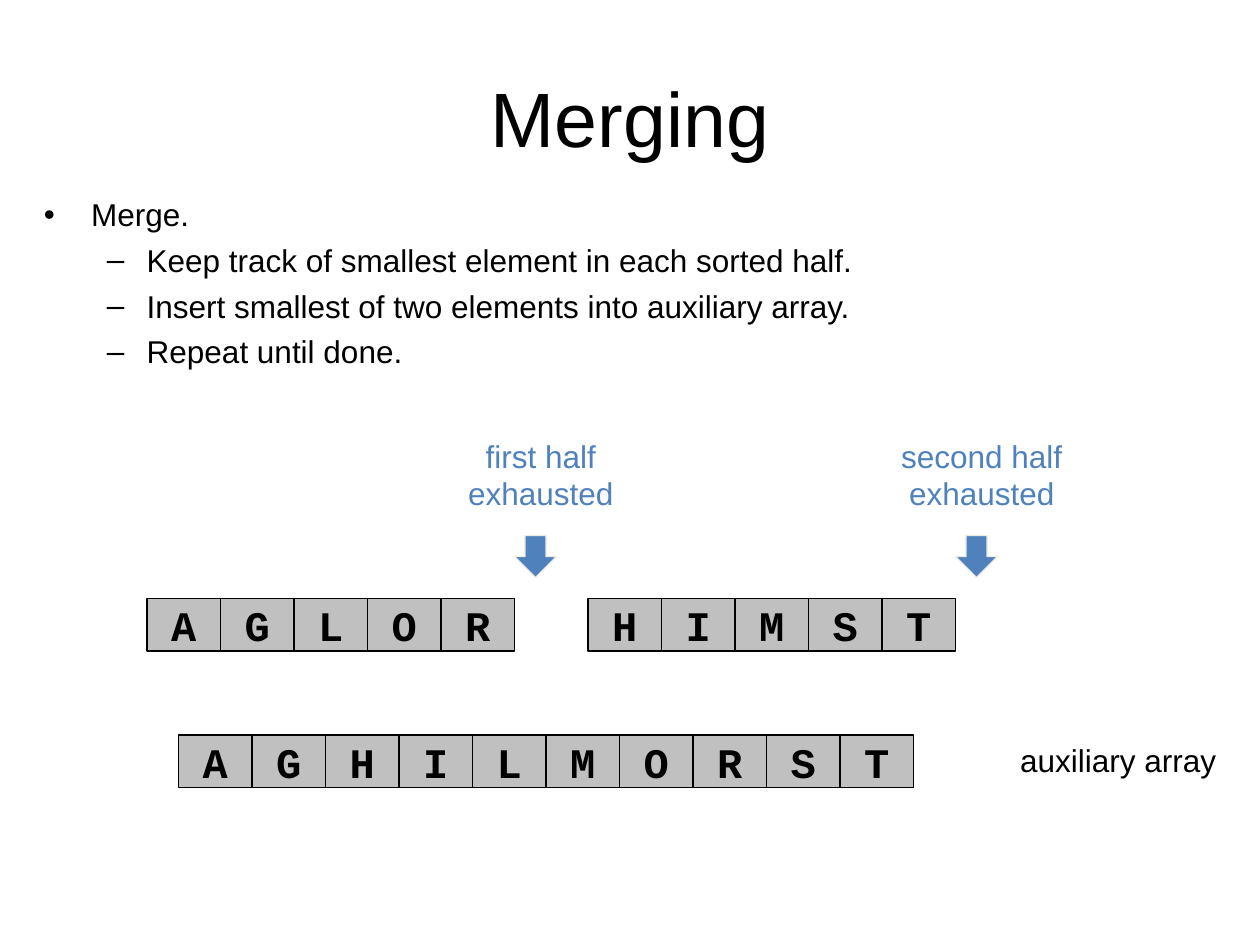
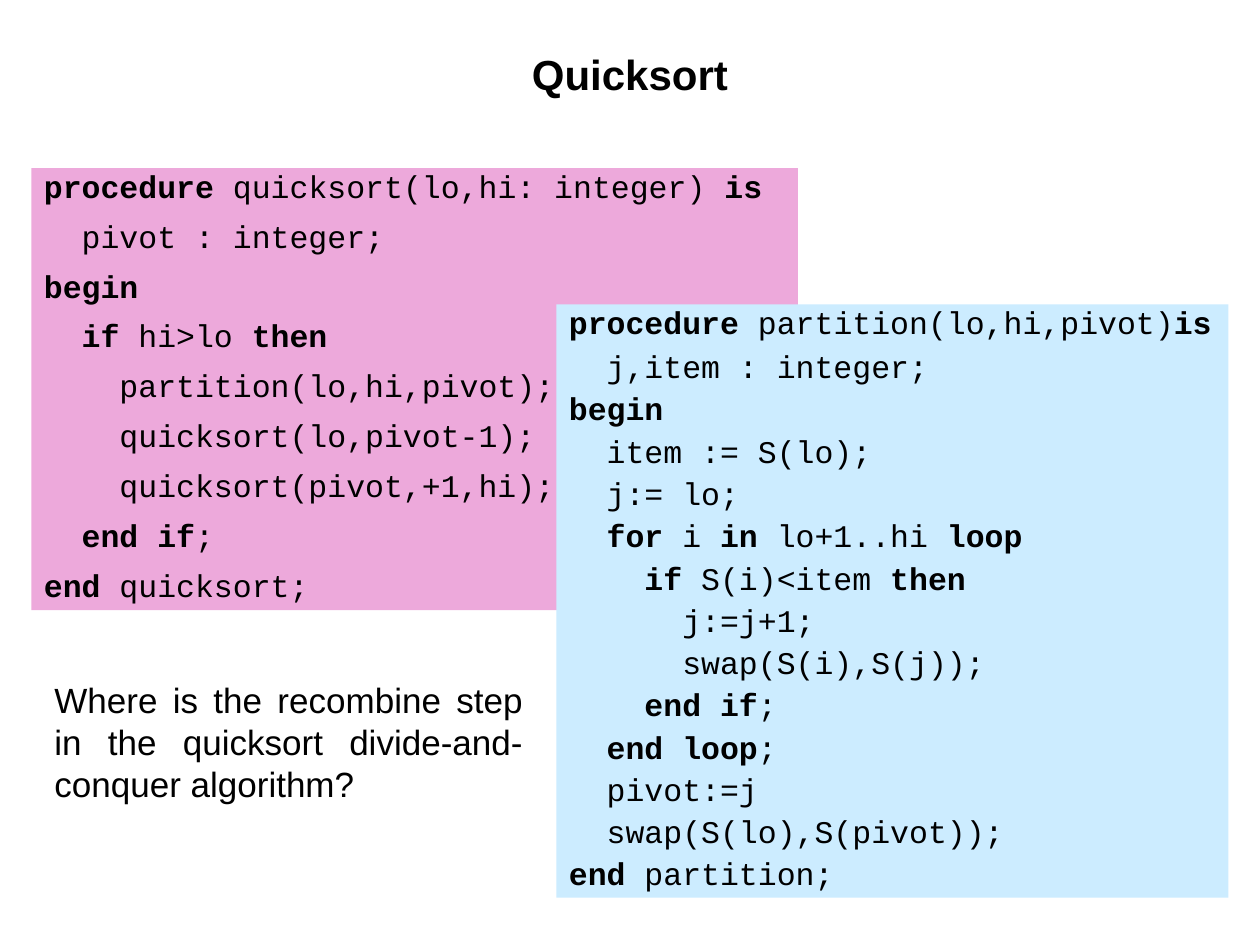
from dataclasses import dataclass

from lxml import etree
from pptx import Presentation
from pptx.dml.color import RGBColor
from pptx.enum.shapes import MSO_SHAPE
from pptx.enum.text import MSO_ANCHOR, PP_ALIGN
from pptx.oxml.ns import qn
from pptx.util import Pt

RECTANGLE = MSO_SHAPE.RECTANGLE
DOWN_ARROW = MSO_SHAPE.DOWN_ARROW
MIDDLE = MSO_ANCHOR.MIDDLE
LEFT, CENTER, JUSTIFY = PP_ALIGN.LEFT, PP_ALIGN.CENTER, PP_ALIGN.JUSTIFY

EMU_PER_PX = 7620
BLANK_LAYOUT = 6
CELL_WIDTH, CELL_HEIGHT = 70, 50
ARROW_SIZE = 40
BULLET_LEVELS = [("•", 45, 45), ("–", 98, 38)]


@dataclass(frozen=True)
class Theme:
    text: str = "000000"
    accent: str = "4F81BD"
    arrow_line: str = "EEECE1"
    cell: str = "C0C0C0"
    quicksort: str = "EDA9DB"
    partition: str = "CCECFF"
    sans: str = "Arial"
    mono: str = "Courier New"
    title_size: int = 44
    heading_size: int = 24
    cell_size: int = 24
    question_size: int = 20
    body_size: int = 18
    line_width: float = 0.75
    bullet_gap: float = 4.5
    code_gap: float = 11.2


THEME = Theme()

MERGE_STEPS = [
    (0, "Merge."),
    (1, "Keep track of smallest element in each sorted half."),
    (1, "Insert smallest of two elements into auxiliary array."),
    (1, "Repeat until done."),
]

QUICKSORT_CODE = """\
*procedure* quicksort(lo,hi: integer) *is*
  pivot : integer;
*begin*
  *if* hi>lo *then*
    partition(lo,hi,pivot);
    quicksort(lo,pivot-1);
    quicksort(pivot,+1,hi);
  *end if*;
*end* quicksort;"""

PARTITION_CODE = """\
*procedure* partition(lo,hi,pivot)*is*
  j,item : integer;
*begin*
  item := S(lo);
  j:= lo;
  *for* i *in* lo+1..hi *loop*
    *if* S(i)<item *then*
      j:=j+1;
      swap(S(i),S(j));
    *end if*;
  *end loop*;
  pivot:=j
  swap(S(lo),S(pivot));
*end* partition;"""


def px(*lengths):
    return [length * EMU_PER_PX for length in lengths]


def style_font(font, size, name=THEME.sans, color=THEME.text, bold=False):
    font.size = Pt(size)
    font.name = name
    font.bold = bold
    font.color.rgb = RGBColor.from_string(color)


def write(paragraph, text, size, alignment=LEFT, **style):
    paragraph.text = text
    paragraph.alignment = alignment
    for run in paragraph.runs:
        style_font(run.font, size, **style)


def add_text(slide, box, text, size, alignment=CENTER, anchor=None, **style):
    text_frame = slide.shapes.add_textbox(*px(*box)).text_frame
    text_frame.word_wrap = True
    text_frame.vertical_anchor = anchor
    write(text_frame.paragraphs[0], text, size, alignment, **style)


def add_filled_shape(shapes, kind, box, fill, line=None):
    shape = shapes.add_shape(kind, *px(*box))
    shape.shadow.inherit = False
    shape.fill.solid()
    shape.fill.fore_color.rgb = RGBColor.from_string(fill)
    if line:
        shape.line.color.rgb = RGBColor.from_string(line)
        shape.line.width = Pt(THEME.line_width)
    else:
        shape.line.fill.background()
    return shape


def add_array(slide, left, top, letters):
    group = slide.shapes.add_group_shape()
    for index, letter in enumerate(letters):
        box = (left + index * CELL_WIDTH, top, CELL_WIDTH, CELL_HEIGHT)
        cell = add_filled_shape(group.shapes, RECTANGLE, box, THEME.cell, THEME.text)
        text_frame = cell.text_frame
        text_frame.word_wrap = False
        text_frame.vertical_anchor = MIDDLE
        write(text_frame.paragraphs[0], letter, THEME.cell_size, CENTER,
              name=THEME.mono, bold=True)


def add_exhausted_marker(slide, left, text):
    add_text(slide, (left, 410, 250, 84), text, THEME.body_size, color=THEME.accent)
    arrow_box = (left + 100, 510, ARROW_SIZE, ARROW_SIZE)
    add_filled_shape(slide.shapes, DOWN_ARROW, arrow_box, THEME.accent, THEME.arrow_line)


def add_bullets(slide, box, items):
    text_frame = slide.shapes.add_textbox(*px(*box)).text_frame
    text_frame.word_wrap = True
    for index, (level, text) in enumerate(items):
        paragraph = text_frame.add_paragraph() if index else text_frame.paragraphs[0]
        character, margin, hanging = BULLET_LEVELS[level]
        paragraph.level = level
        properties = paragraph._p.get_or_add_pPr()
        properties.set("marL", str(margin * EMU_PER_PX))
        properties.set("indent", str(-hanging * EMU_PER_PX))
        etree.SubElement(properties, qn("a:buFont"), typeface=THEME.sans)
        etree.SubElement(properties, qn("a:buChar"), char=character)
        if index:
            paragraph.space_before = Pt(THEME.bullet_gap)
        write(paragraph, text, THEME.body_size)


def add_code(slide, box, fill, code, line_spacing):
    text_frame = add_filled_shape(slide.shapes, RECTANGLE, box, fill).text_frame
    text_frame.word_wrap = True
    text_frame.vertical_anchor = MSO_ANCHOR.TOP
    for index, line in enumerate(code.split("\n")):
        paragraph = text_frame.add_paragraph() if index else text_frame.paragraphs[0]
        paragraph.alignment = LEFT
        paragraph.line_spacing = line_spacing if index else 0.8
        if index:
            paragraph.space_before = Pt(THEME.code_gap)
        for position, piece in enumerate(line.split("*")):
            if piece:
                run = paragraph.add_run()
                run.text = piece
                style_font(run.font, THEME.body_size, THEME.mono, bold=position % 2 == 1)


def build_merging(slide):
    add_text(slide, (950, 700, 230, 48), "auxiliary array", THEME.body_size)
    add_exhausted_marker(slide, 390, "first half\nexhausted")
    add_exhausted_marker(slide, 810, "second half\nexhausted")
    add_array(slide, 140, 570, "AGLOR")
    add_array(slide, 560, 570, "HIMST")
    add_array(slide, 170, 700, "AGHILMORST")
    add_text(slide, (60, 36, 1080, 150), "Merging", THEME.title_size, anchor=MIDDLE)
    add_bullets(slide, (30, 180, 1080, 594), MERGE_STEPS)


def build_quicksort(slide):
    add_text(slide, (90, 30, 1020, 80), "Quicksort", THEME.heading_size,
             anchor=MIDDLE, bold=True)
    add_code(slide, (30, 160, 730, 421), THEME.quicksort, QUICKSORT_CODE, 0.8)
    add_code(slide, (530, 290, 640, 565), THEME.partition, PARTITION_CODE, 0.6)
    add_text(slide, (40, 640, 470, 132),
             "Where is the recombine step in the quicksort divide-and-conquer algorithm?",
             THEME.question_size, JUSTIFY)


def main():
    presentation = Presentation()
    presentation.slide_width, presentation.slide_height = px(1200, 900)
    for build in (build_merging, build_quicksort):
        build(presentation.slides.add_slide(presentation.slide_layouts[BLANK_LAYOUT]))
    presentation.save("out.pptx")


if __name__ == "__main__":
    main()
